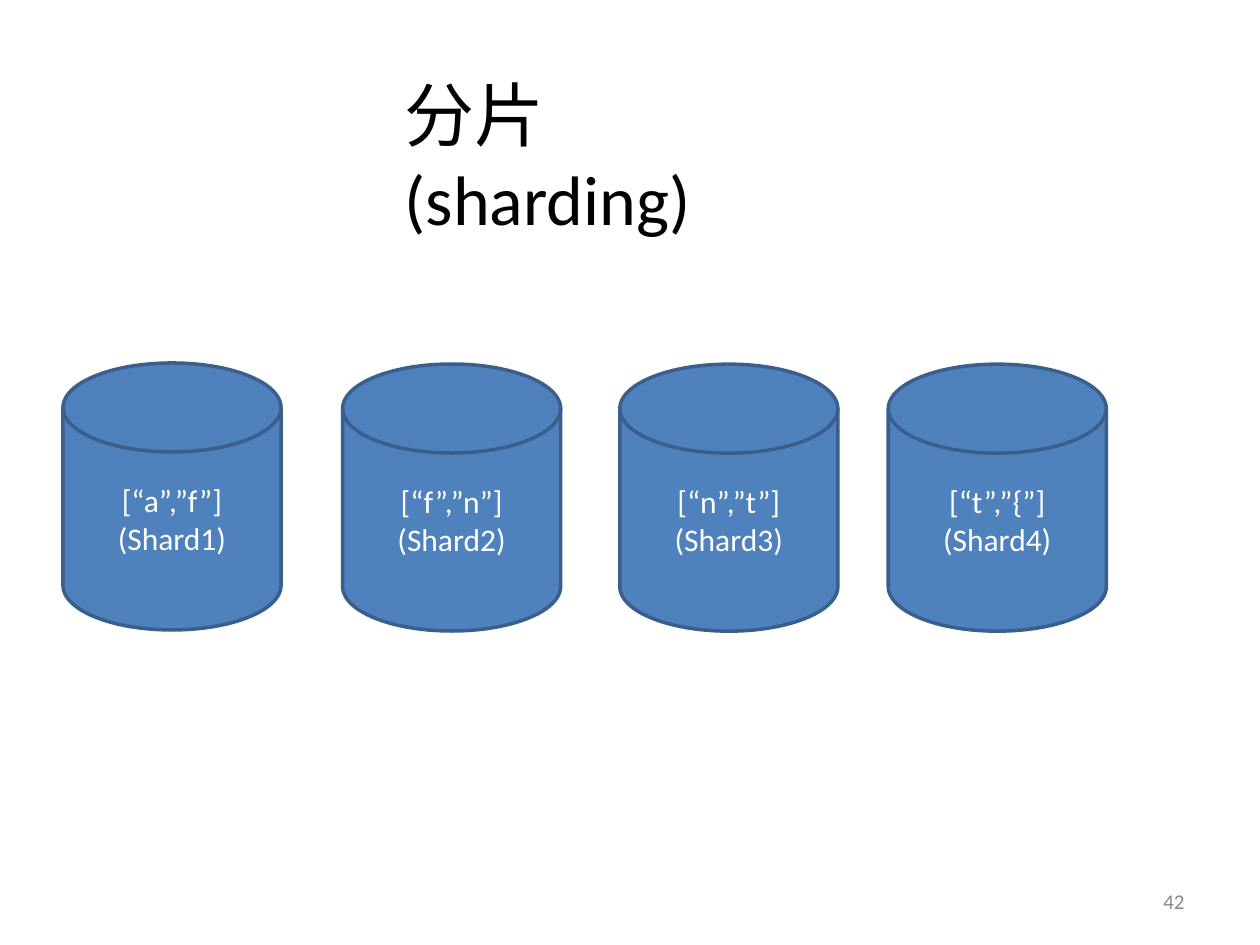
from pptx import Presentation
from pptx.dml.color import RGBColor
from pptx.enum.shapes import MSO_SHAPE
from pptx.enum.text import MSO_ANCHOR, MSO_AUTO_SIZE, PP_ALIGN
from pptx.oxml.ns import qn
from pptx.util import Pt

SHARDS = [
    ("[“a”,”f”]", 36, 207.4),
    ("[“f”,”n”]", 195.8, 208),
    ("[“n”,”t”]", 354.2, 208.1),
    ("[“t”,”{”]", 507.6, 208.1),
]


def color(hex_string):
    return RGBColor.from_string(hex_string)


class SlideBuilder:
    latin_font = "Calibri"
    asian_font = "Noto Sans CJK SC"
    disk_size = (124.6, 152.6)
    disk_fill = "4F81BD"
    disk_line = "3A5F8C"

    def __init__(self, page):
        self.page = page

    def set_text(self, shape, lines, size, hex_color, align, **frame_format):
        """Fill a shape with one paragraph per line."""
        frame = shape.text_frame
        frame_format = {"word_wrap": True, **frame_format}
        for name, value in frame_format.items():
            setattr(frame, name, value)
        for index, line in enumerate(lines):
            para = frame.add_paragraph() if index else frame.paragraphs[0]
            para.alignment = align
            span = para.add_run()
            span.text = line
            for name, value in {"size": Pt(size), "name": self.latin_font}.items():
                setattr(span.font, name, value)
            span.font.color.rgb = color(hex_color)
            asian = span.font._element.makeelement(
                qn("a:ea"), {"typeface": self.asian_font})
            span.font._element.find(qn("a:latin")).addnext(asian)

    def title(self, text, left, top, width, height):
        title = self.page.shapes.title
        box = {"left": left, "top": top, "width": width, "height": height}
        for name, value in box.items():
            setattr(title, name, Pt(value))
        # The wide right margin keeps the two words on separate lines.
        self.set_text(title, [text], 40, "000000", PP_ALIGN.LEFT,
                      vertical_anchor=MSO_ANCHOR.TOP, margin_right=Pt(24),
                      auto_size=MSO_AUTO_SIZE.NONE)

    def page_number(self, number, left, top, width, height):
        box = self.page.shapes.add_textbox(*map(Pt, (left, top, width, height)))
        self.set_text(box, [str(number)], 12, "898989", PP_ALIGN.RIGHT,
                      vertical_anchor=MSO_ANCHOR.MIDDLE)

    def disk(self, lines, left, top):
        disk = self.page.shapes.add_shape(
            MSO_SHAPE.FLOWCHART_MAGNETIC_DISK,
            *map(Pt, (left, top, *self.disk_size)))
        disk.shadow.inherit = False
        disk.fill.solid()
        disk.fill.fore_color.rgb = color(self.disk_fill)
        disk.line.color.rgb = color(self.disk_line)
        disk.line.width = Pt(2)
        self.set_text(disk, lines, 18, "FFFFFF", PP_ALIGN.CENTER,
                      vertical_anchor=MSO_ANCHOR.MIDDLE)


def main():
    deck = Presentation()
    deck.slide_width, deck.slide_height = Pt(720), Pt(540)
    builder = SlideBuilder(deck.slides.add_slide(deck.slide_layouts[5]))
    builder.title("分片(sharding)", 224, 37.4, 260.6, 55.4)
    builder.page_number(42, 516, 500.5, 168, 28.8)
    for number, (key_range, left, top) in enumerate(SHARDS, start=1):
        builder.disk([key_range, f"(Shard{number})"], left, top)
    deck.save("out.pptx")


if __name__ == "__main__":
    main()
